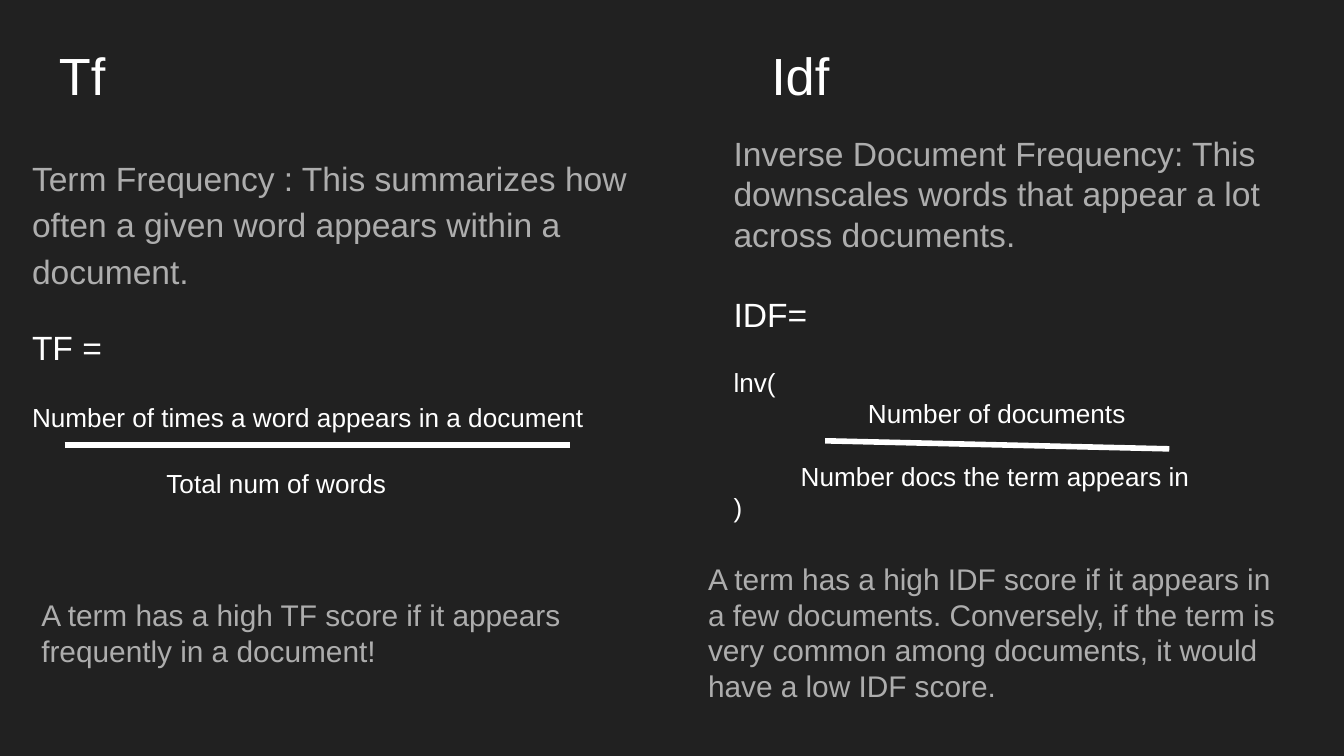
from dataclasses import dataclass

from lxml import etree
from pptx import Presentation
from pptx.dml.color import RGBColor
from pptx.enum.shapes import MSO_CONNECTOR
from pptx.enum.text import MSO_ANCHOR
from pptx.oxml.ns import qn
from pptx.util import Inches, Pt

STRAIGHT = MSO_CONNECTOR.STRAIGHT
TOP = MSO_ANCHOR.TOP


@dataclass(frozen=True)
class Theme:
    """Colours, type sizes and measures of the slide."""
    font: str = "Arial"
    back: RGBColor = RGBColor(0x21, 0x21, 0x21)
    white: RGBColor = RGBColor(0xFF, 0xFF, 0xFF)
    grey: RGBColor = RGBColor(0xAD, 0xAD, 0xAD)
    title: int = 28
    body: int = 18
    note: int = 16
    formula: int = 14
    bar: int = 3
    cell: int = Inches(0.1)
    inset: int = Inches(0.1)
    indent: int = Inches(0.5)


@dataclass(frozen=True)
class Para:
    """One paragraph; margin and first count indent steps."""
    text: str
    size: int
    color: RGBColor
    before: float = 0
    margin: int = 0
    first: int = 0


class Deck:
    """Draws on the current slide in grid columns and rows."""

    def __init__(self, prs, theme):
        self.theme = theme
        self.s = prs.slides.add_slide(prs.slide_layouts[6])
        fill = self.s.background.fill
        fill.solid()
        fill.fore_color.rgb = theme.back

    def grid(self, *cells):
        return [round(c * self.theme.cell) for c in cells]

    def text(self, at, paras, spacing=1.0):
        t = self.theme
        tf = self.s.shapes.add_textbox(*self.grid(*at)).text_frame
        tf.word_wrap = True
        tf.vertical_anchor = TOP
        tf.margin_left = tf.margin_right = t.inset
        tf.margin_top = tf.margin_bottom = t.inset
        for i, para in enumerate(paras):
            p = tf.add_paragraph() if i else tf.paragraphs[0]
            p.text = para.text
            p.line_spacing = spacing
            p.space_before = Pt(para.before)
            pPr = p._p.get_or_add_pPr()
            pPr.set("marL", str(para.margin * t.indent))
            pPr.set("indent", str(para.first * t.indent))
            font = p.runs[0].font
            font.name = t.font
            font.size = Pt(para.size)
            font.color.rgb = para.color

    def bar(self, *ends):
        c = self.s.shapes.add_connector(STRAIGHT, *self.grid(*ends))
        c.line.color.rgb = self.theme.white
        c.line.width = Pt(self.theme.bar)
        etree.SubElement(c._element.spPr, qn("a:effectLst"))


def main():
    """Build the slide and save it."""
    prs = Presentation()
    prs.slide_width = Inches(10)
    prs.slide_height = prs.slide_width * 9 // 16
    t = Theme()
    d = Deck(prs, t)
    gap, body_line, formula_line = 16, 1.2 * t.body, 1.2 * t.formula

    d.text((3.4, 2.2, 32.8, 6.7), [Para("Tf", t.title, t.white)])
    d.text((1.4, 10.3, 46.3, 32.9), [
        Para("Term Frequency : This summarizes how often a given word "
             "appears within a document.", t.body, t.grey),
        Para("TF =", t.body, t.white, gap),
        Para("Number of times a word appears in a document",
             t.formula, t.white, gap),
        Para("Total num of words", t.formula, t.white, gap, 1, 1),
    ], spacing=1.15)
    d.bar(4.8, 33.1, 42.4, 33.1)
    d.text((2.1, 43.4, 45, 11.7), [
        Para("A term has a high TF score if it appears frequently in a "
             "document!", t.note, t.grey)])

    d.text((56.4, 2.2, 38.8, 6.3), [Para("Idf", t.title, t.white)])
    d.text((53.6, 8.9, 41.6, 36.4), [
        Para("Inverse Document Frequency: This downscales words that "
             "appear a lot across documents.", t.body, t.grey),
        Para("IDF=", t.body, t.white, body_line),
        Para("lnv(", t.formula, t.white, formula_line),
        Para("Number of documents", t.formula, t.white, 0, 1, 1),
        Para("Number docs the term appears in",
             t.formula, t.white, formula_line, 1),
        Para(")", t.formula, t.white),
    ])
    d.bar(61.4, 32.8, 87, 33.4)
    d.text((51.7, 40.7, 45, 14.4), [
        Para("A term has a high IDF score if it appears in a few documents. "
             "Conversely, if the term is very common among documents, it "
             "would have a low IDF score.", t.note, t.grey)])

    prs.save("out.pptx")


main()
